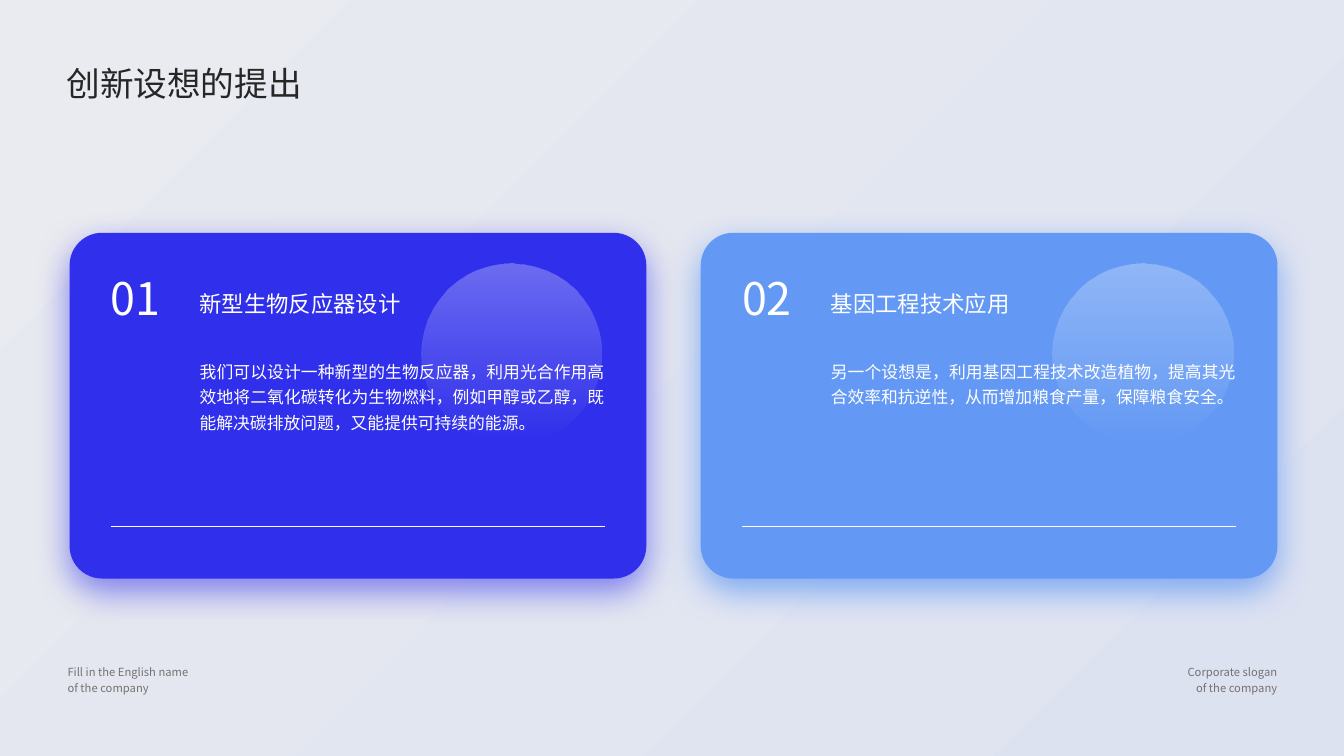
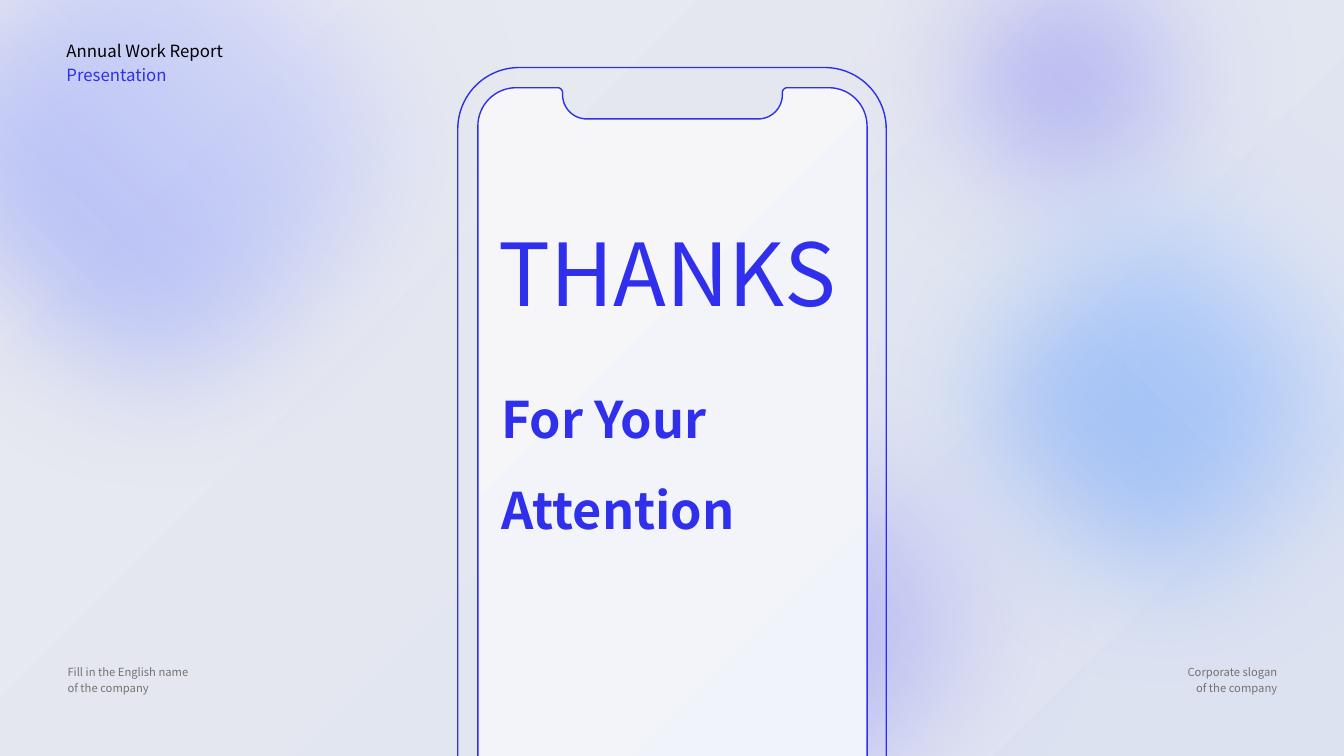
"""Build a two-slide deck: two idea cards and a closing phone slide."""
from dataclasses import dataclass
from math import cos, radians, sin

from lxml import etree
from pptx import Presentation
from pptx.dml.color import RGBColor
from pptx.enum.shapes import MSO_CONNECTOR, MSO_SHAPE
from pptx.enum.text import MSO_ANCHOR, PP_ALIGN
from pptx.oxml.ns import qn
from pptx.util import Inches, Pt

RECT = MSO_SHAPE.RECTANGLE
ROUND = MSO_SHAPE.ROUNDED_RECTANGLE
OVAL = MSO_SHAPE.OVAL
LINE = MSO_CONNECTOR.STRAIGHT
LEFT, RIGHT, BOTH = PP_ALIGN.LEFT, PP_ALIGN.RIGHT, PP_ALIGN.JUSTIFY
TOP, LOW = MSO_ANCHOR.TOP, MSO_ANCHOR.BOTTOM

SANS, ARIAL = "Noto Sans CJK SC", "Arial"
BLUE, SKY, WHITE, BLACK = "2F2FEC", "6399F4", "FFFFFF", "000000"
INK, GREY = "262626", "767171"
WIDE, HIGH = 13.33, 7.5
EDGE = 0.66


@dataclass
class Stop:
    hue: str
    alpha: int = 100


@dataclass
class Card:
    left: float
    hue: str
    shade: int
    num: str
    head: str
    body: str


@dataclass
class Glow:
    left: float
    top: float
    size: float
    start: Stop
    end: Stop


@dataclass
class Arc:
    x: float
    y: float
    r: float
    start: int
    end: int


CARDS = [
    Card(0.69, BLUE, 57, "01", "新型生物反应器设计",
         "我们可以设计一种新型的生物反应器，利用光合作用高效地将二氧化碳转化为生物燃料，"
         "例如甲醇或乙醇，既能解决碳排放问题，又能提供可持续的能源。"),
    Card(6.95, SKY, 79, "02", "基因工程技术应用",
         "另一个设想是，利用基因工程技术改造植物，提高其光合效率和抗逆性，"
         "从而增加粮食产量，保障粮食安全。"),
]
GLOWS = [
    Glow(4.71, 2.62, 6.74, Stop(BLUE, 55), Stop("D5D5FB", 25)),
    Glow(7.84, -2.16, 5.7, Stop(BLUE, 55), Stop("D5D5FB", 43)),
    Glow(8.1, 0.41, 6.94, Stop(SKY, 76), Stop("E0EBFD")),
    Glow(-2.3, -2.62, 7.94, Stop("8393F7"), Stop("E6E9FD", 37)),
]
SCREEN = [
    Arc(5.53, 0.92, 0.05, 270, 360), Arc(5.82, 0.94, 0.24, 180, 90),
    Arc(7.52, 0.94, 0.24, 90, 0), Arc(7.81, 0.92, 0.05, 180, 270),
    Arc(8.22, 1.25, 0.38, 270, 360), Arc(8.22, 8.84, 0.38, 0, 90),
    Arc(5.12, 8.84, 0.38, 90, 180), Arc(5.12, 1.25, 0.38, 180, 270),
]


def rgb(hue: str) -> RGBColor:
    return RGBColor.from_string(hue)


def child(node, tag: str, **attrs):
    return etree.SubElement(node, qn(tag), {k: str(v) for k, v in attrs.items()})


def tint(node, stop: Stop) -> None:
    tone = child(node, "a:srgbClr", val=stop.hue)
    if stop.alpha < 100:
        child(tone, "a:alpha", val=stop.alpha * 1000)


def blend(shape, start: Stop, end: Stop, angle: int) -> None:
    shape.fill.gradient()
    grad = shape._element.spPr.find(qn("a:gradFill"))
    for part in list(grad):
        grad.remove(part)
    stops = child(grad, "a:gsLst")
    for spot, stop in ((0, start), (100000, end)):
        tint(child(stops, "a:gs", pos=spot), stop)
    child(grad, "a:lin", ang=angle * 60000, scaled=0)


def effects(shape):
    return shape._element.spPr.find(qn("a:effectLst"))


def add(slide, kind, left: float, top: float, wide: float, high: float):
    shape = slide.shapes.add_shape(
        kind, Inches(left), Inches(top), Inches(wide), Inches(high))
    shape.shadow.inherit = False
    shape.line.fill.background()
    return shape


def write(slide, lines: list[str], left: float, top: float, wide: float,
          high: float, size: int, hue: str, face: str = SANS,
          align=LEFT, space: float = 1.0, bold: bool = False,
          anchor=TOP) -> None:
    box = slide.shapes.add_textbox(
        Inches(left), Inches(top), Inches(wide), Inches(high))
    frame = box.text_frame
    frame.word_wrap = True
    frame.vertical_anchor = anchor
    frame.margin_left = frame.margin_right = 0
    frame.margin_top = frame.margin_bottom = 0
    frame.text = "\n".join(lines)
    for para in frame.paragraphs:
        para.alignment = align
        para.line_spacing = space
        font = para.font
        font.name, font.size, font.bold = face, Pt(size), bold
        font.color.rgb = rgb(hue)
        child(font._element, "a:ea", typeface=SANS)


def start(deck):
    slide = deck.slides.add_slide(deck.slide_layouts[6])
    back = add(slide, RECT, 0, 0, WIDE, HIGH)
    blend(back, Stop("EAEBF0"), Stop("DDE2F1"), 45)
    return slide


def foot(slide) -> None:
    write(slide, ["Fill in the English name", "of the company"],
          0.67, 6.57, 3, 0.32, 8, GREY, space=1.2)
    write(slide, ["Corporate slogan", "of the company"],
          9.67, 6.57, 3, 0.32, 8, GREY, align=RIGHT, space=1.2)


def panel(slide, card: Card) -> None:
    base = add(slide, ROUND, card.left, 2.31, 5.72, 3.43)
    base.adjustments[0] = 0.094
    base.fill.solid()
    base.fill.fore_color.rgb = rgb(card.hue)
    shade = child(effects(base), "a:outerShdw", blurRad=Pt(25), dist=Pt(9),
                  dir=90 * 60000, algn="t", rotWithShape=0)
    tint(shade, Stop(card.hue, card.shade))
    disc = add(slide, OVAL, card.left + 3.49, 2.61, 1.79, 1.79)
    blend(disc, Stop(WHITE, 30), Stop(WHITE, 0), 90)
    inner, text = card.left + 0.41, card.left + 1.29
    write(slide, [card.num], inner, 2.69, 0.8, 0.54, 32, WHITE)
    write(slide, [card.head], text, 2.81, 4.02, 0.31, 16, WHITE, space=1.25)
    write(slide, [card.body], text, 3.54, 4.02, 0.73, 12, WHITE,
          face=ARIAL, align=BOTH, space=1.25)
    rule = slide.shapes.add_connector(
        LINE, Inches(inner), Inches(5.22), Inches(inner + 4.9), Inches(5.22))
    rule.line.color.rgb = rgb(WHITE)
    rule.line.width = Pt(0.5)
    child(rule._element.spPr, "a:effectLst")


def trace(arc: Arc, steps: int = 16) -> list[tuple[int, int]]:
    turns = [radians(arc.start + (arc.end - arc.start) * i / steps)
             for i in range(steps + 1)]
    return [(Inches(arc.x + arc.r * cos(t)), Inches(arc.y + arc.r * sin(t)))
            for t in turns]


def edge(shape) -> None:
    shape.line.color.rgb = rgb(BLUE)
    shape.line.width = Pt(1)


def phone(slide) -> None:
    case = add(slide, ROUND, 4.54, 0.67, 4.25, 8.76)
    case.adjustments[0] = 0.61 / 4.25
    case.fill.background()
    edge(case)
    spots = [spot for arc in SCREEN for spot in trace(arc)]
    pen = slide.shapes.build_freeform(*spots[0])
    pen.add_line_segments(spots[1:], close=True)
    glass = pen.convert_to_shape()
    glass.shadow.inherit = False
    blend(glass, Stop("F6F6F8"), Stop("F0F3F9"), 45)
    edge(glass)


def ideas(deck) -> None:
    slide = start(deck)
    foot(slide)
    for card in CARDS:
        panel(slide, card)
    write(slide, ["创新设想的提出"], EDGE, 0.62, 12.01, 0.4, 24, INK, anchor=LOW)


def close(deck) -> None:
    slide = start(deck)
    for glow in GLOWS:
        ball = add(slide, OVAL, glow.left, glow.top, glow.size, glow.size)
        blend(ball, glow.start, glow.end, 315)
        child(effects(ball), "a:softEdge", rad=Pt(100))
    phone(slide)
    write(slide, ["Annual Work Report"], EDGE, 0.4, 3, 0.2, 12, BLACK)
    write(slide, ["Presentation"], EDGE, 0.64, 3, 0.2, 12, BLUE)
    write(slide, ["THANKS"], 4.94, 2.18, 3.6, 1.25, 62, BLUE)
    write(slide, ["For Your", "Attention"], 4.97, 3.55, 3.35, 3.44, 36, BLUE,
          space=1.5, bold=True)
    foot(slide)


def main() -> None:
    deck = Presentation()
    deck.slide_width, deck.slide_height = Inches(WIDE), Inches(HIGH)
    ideas(deck)
    close(deck)
    deck.save("out.pptx")


if __name__ == "__main__":
    main()
